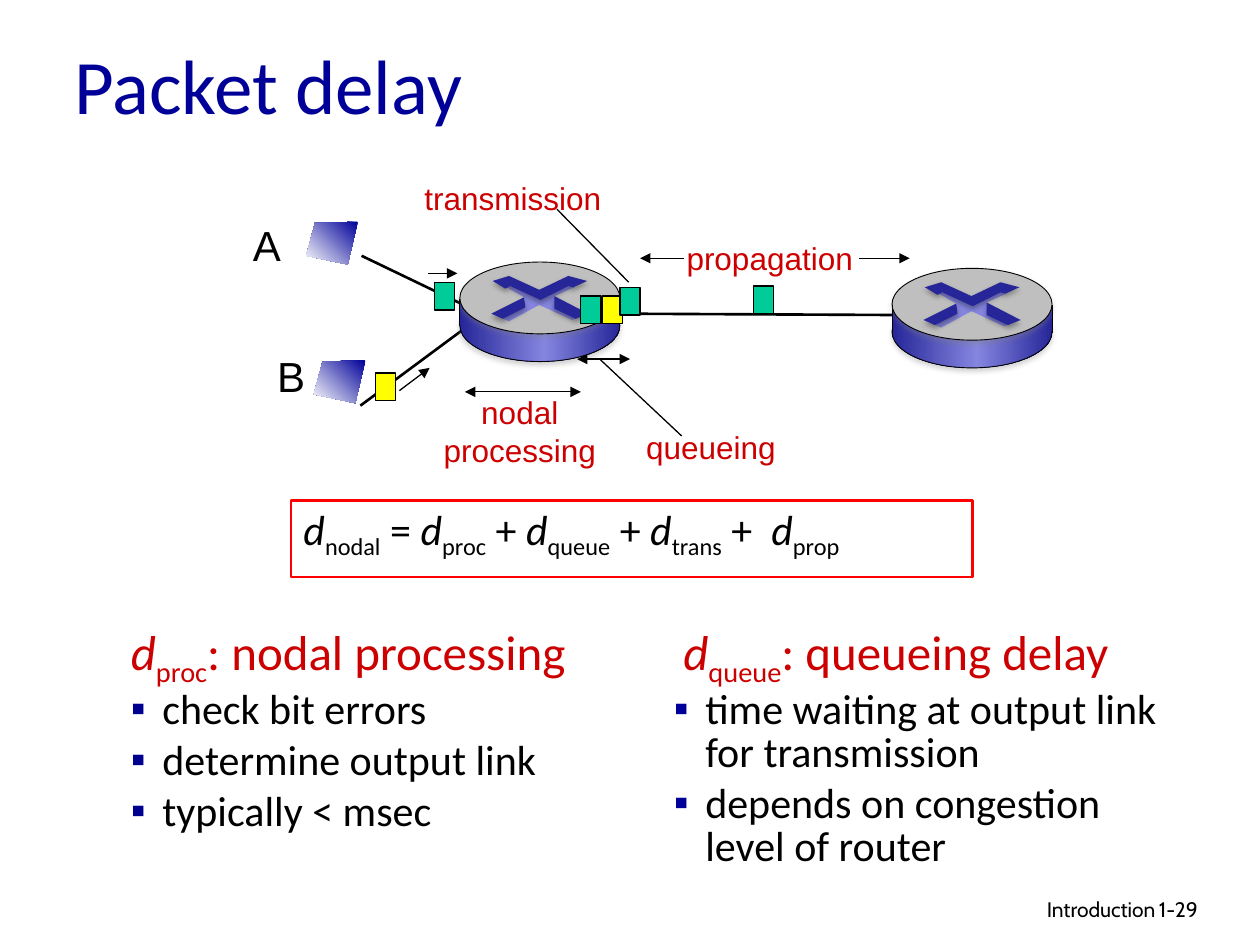
from dataclasses import dataclass
from typing import Optional

import pptx
import pptx.dml.color
import pptx.enum.shapes
import pptx.enum.text
import pptx.oxml
import pptx.oxml.ns
import pptx.slide
import pptx.util
from lxml import etree

Inches, Pt = pptx.util.Inches, pptx.util.Pt
SHAPE = pptx.enum.shapes.MSO_SHAPE
ALIGN = pptx.enum.text.PP_ALIGN
qn = pptx.oxml.ns.qn

BLACK, RED, NAVY = "000000", "CC0000", "000099"
GREEN, YELLOW = "00CC99", "FFFF00"
DARK, LIGHT = "262699", "8585E0"
BODY_STOPS = ((0, DARK), (53, LIGHT), (100, DARK))
SCREEN_STOPS = ((0, NAVY), (100, "FFFFFF"))

CROSS = [(63, 34), (39, 47), (32, 44), (52, 36), (51, 28), (37, 20), (42, 19),
         (63, 29), (85, 18), (91, 20), (75, 27), (78, 38), (94, 44), (89, 46)]
ARROWS = [
    [(26, 15), (39, 11), (63, 22), (86, 11), (101, 15),
     (90, 20), (86, 19), (64, 30), (40, 19), (36, 21)],
    [(75, 27), (102, 41), (92, 45), (75, 37)],
    [(51, 28), (52, 36), (34, 45), (25, 41)],
]
SCREEN = [(41, 0), (7, 1), (0, 27), (33, 34)]


@dataclass
class Line:
    x1: float
    y1: float
    x2: float
    y2: float
    width: float = 0.75
    head: bool = False
    tail: bool = False


@dataclass
class Packet:
    x: float
    y: float
    color: str = GREEN


@dataclass
class Label:
    text: str
    x: float
    y: float
    w: float
    h: float = 0.4
    size: float = 18
    color: str = RED


LINKS = [
    Line(2.87, 2.03, 3.68, 2.42, 1.5),
    Line(2.86, 3.22, 3.67, 2.62, 1.5),
    Line(4.97, 2.49, 7.09, 2.5, 1.5),
]
MARKERS = [
    Line(6.82, 2.05, 7.22, 2.05, tail=True),
    Line(5.43, 2.05, 5.08, 2.05, tail=True),
    Line(4.61, 3.11, 3.69, 3.11, head=True, tail=True),
    Line(5, 2.85, 4.58, 2.85, head=True, tail=True),
    Line(3.4, 2.17, 3.63, 2.17, tail=True),
    Line(3.17, 3.1, 3.41, 2.92, tail=True),
    Line(5.41, 3.46, 4.76, 2.85),
    Line(4.42, 1.66, 4.99, 2.24),
]
PACKETS = [Packet(5.98, 2.27), Packet(4.61, 2.35), Packet(4.78, 2.35, YELLOW),
           Packet(4.92, 2.28), Packet(3.45, 2.24), Packet(2.98, 2.96, YELLOW)]
LABELS = [
    Label("transmission", 3.27, 1.37, 1.6),
    Label("propagation", 5.35, 1.85, 1.52),
    Label("nodal\nprocessing", 3.42, 3.07, 1.41, 0.7),
    Label("queueing", 5.03, 3.35, 1.23),
    Label("A", 1.91, 1.69, 0.44, 0.5, 24, BLACK),
    Label("B", 2.1, 2.73, 0.42, 0.5, 24, BLACK),
]


def rgb(color: str) -> pptx.dml.color.RGBColor:
    return pptx.dml.color.RGBColor.from_string(color)


def add_run(p, text: str, *, size: float, color: str = BLACK, font: str = "Calibri",
            italic: bool = False, sub: bool = False) -> None:
    r = p.add_run()
    r.text = text
    r.font.size, r.font.name, r.font.italic = Pt(size), font, italic
    r.font.color.rgb = rgb(color)
    if sub:
        r._r.get_or_add_rPr().set("baseline", "-25000")


def add_term(p, name: str, size: float, color: str = BLACK) -> None:
    add_run(p, "d", size=size, color=color, italic=True)
    add_run(p, name, size=size, color=color, sub=True)


def add_box(s: pptx.slide.Slide, x: float, y: float, w: float, h: float, wrap: bool = True):
    sp = s.shapes.add_textbox(Inches(x), Inches(y), Inches(w), Inches(h))
    sp.text_frame.word_wrap = wrap
    return sp


def indent(p, size: float, bullet: Optional[str] = None) -> None:
    pPr = p._p.get_or_add_pPr()
    pPr.set("marL", str(Inches(size)))
    pPr.set("indent", str(-Inches(size)))
    p.line_spacing = 0.85
    if bullet:
        p.space_before = Pt(4.8)
        clr = etree.SubElement(pPr, qn("a:buClr"))
        etree.SubElement(clr, qn("a:srgbClr"), val=bullet)
        etree.SubElement(pPr, qn("a:buFont"), typeface="Arial")
        etree.SubElement(pPr, qn("a:buChar"), char="▪")


def add_shadow(sp, color: str) -> None:
    effects = sp._element.spPr.find(qn("a:effectLst"))
    shadow = etree.SubElement(effects, qn("a:outerShdw"), blurRad=str(Pt(3.1)),
                              dist=str(Pt(1.8)), dir="5400000", rotWithShape="0")
    clr = etree.SubElement(shadow, qn("a:srgbClr"), val=color)
    etree.SubElement(clr, qn("a:alpha"), val="35000")


def style(sp, fill: Optional[str] = None, stops: tuple = (), angle: float = 0,
          line: Optional[str] = None, width: float = 0.75, shadow: Optional[str] = None) -> None:
    if stops:
        sp.fill.gradient()
        sp.fill.gradient_angle = angle
        gs_list = sp._element.spPr.find(qn("a:gradFill")).find(qn("a:gsLst"))
        for gs in list(gs_list):
            gs_list.remove(gs)
        for pos, color in stops:
            gs = etree.SubElement(gs_list, qn("a:gs"), pos=str(pos * 1000))
            etree.SubElement(gs, qn("a:srgbClr"), val=color)
    else:
        sp.fill.solid()
        sp.fill.fore_color.rgb = rgb(fill)
    if line:
        sp.line.color.rgb = rgb(line)
        sp.line.width = Pt(width)
    else:
        sp.line.fill.background()
    sp.shadow.inherit = False
    if shadow:
        add_shadow(sp, shadow)


def add_preset(s: pptx.slide.Slide, kind, x: float, y: float, w: float, h: float, **look) -> None:
    style(s.shapes.add_shape(kind, Inches(x), Inches(y), Inches(w), Inches(h)), **look)


def add_polygon(s: pptx.slide.Slide, points: list, x: float, y: float, **look) -> None:
    builder = s.shapes.build_freeform(*points[0], scale=Inches(0.01))
    builder.add_line_segments(points[1:], close=True)
    style(builder.convert_to_shape(Inches(x), Inches(y)), **look)


def add_line(s: pptx.slide.Slide, line: Line) -> None:
    c = s.shapes.add_connector(pptx.enum.shapes.MSO_CONNECTOR.STRAIGHT, Inches(line.x1),
                               Inches(line.y1), Inches(line.x2), Inches(line.y2))
    c.line.color.rgb = rgb(BLACK)
    c.line.width = Pt(line.width)
    for tag, on in (("a:headEnd", line.head), ("a:tailEnd", line.tail)):
        if on:
            etree.SubElement(c.line._get_or_add_ln(), qn(tag), type="triangle")
    etree.SubElement(c._element.spPr, qn("a:effectLst"))


def add_router(s: pptx.slide.Slide, x: float, y: float) -> None:
    rim = dict(line=BLACK, width=0.5, shadow="808080")
    add_preset(s, SHAPE.OVAL, x, y + 0.22, 1.27, 0.57, stops=BODY_STOPS, **rim)
    add_preset(s, SHAPE.RECTANGLE, x, y + 0.29, 1.27, 0.21, stops=BODY_STOPS)
    add_preset(s, SHAPE.OVAL, x, y, 1.27, 0.57, fill="BFBFBF", **rim)
    add_polygon(s, CROSS, x, y, fill=LIGHT)
    for arrow in ARROWS:
        add_polygon(s, arrow, x, y, fill=DARK, shadow=BLACK)
    for side in (x, x + 1.27):
        add_line(s, Line(side, y + 0.51, side, y + 0.29, 0.5))


def add_label(s: pptx.slide.Slide, label: Label) -> None:
    tf = add_box(s, label.x, label.y, label.w, label.h, wrap=False).text_frame
    lines = label.text.split("\n")
    for i, text in enumerate(lines):
        p = tf.add_paragraph() if i else tf.paragraphs[0]
        p.alignment = ALIGN.CENTER if len(lines) > 1 else ALIGN.LEFT
        add_run(p, text, size=label.size, color=label.color, font="Arial")


def add_column(s: pptx.slide.Slide, x: float, h: float, lead: str, name: str, title: str,
               items: list, bullet: str) -> None:
    tf = add_box(s, x, 4.91, 4.17, h).text_frame
    p = tf.paragraphs[0]
    indent(p, 0.38)
    if lead:
        add_run(p, lead, size=24)
    add_term(p, name, 28, RED)
    add_run(p, f": {title}", size=28, color=RED)
    for item in items:
        p = tf.add_paragraph()
        indent(p, 0.25, bullet)
        add_run(p, item, size=24)


def add_formula(s: pptx.slide.Slide) -> None:
    sp = add_box(s, 2.31, 3.97, 5.41, 0.61)
    sp.line.color.rgb = rgb("FF0000")
    sp.line.width = Pt(1.5)
    p = sp.text_frame.paragraphs[0]
    indent(p, 0.31)
    for name, sign in (("nodal", " = "), ("proc", " + "), ("queue", " + "),
                       ("trans", " +  "), ("prop", "")):
        add_term(p, name, 24)
        if sign:
            add_run(p, sign, size=24)


def main() -> None:
    prs = pptx.Presentation()
    prs.slide_width, prs.slide_height = Inches(10), Inches(7.5)
    s = prs.slides.add_slide(prs.slide_layouts[6])

    tf = add_box(s, 0.49, 0.22, 8.5, 0.89).text_frame
    tf.vertical_anchor = pptx.enum.text.MSO_ANCHOR.MIDDLE
    add_run(tf.paragraphs[0], "Packet delay", size=44, color=NAVY)

    for link in LINKS:
        add_line(s, link)
    for x, y in ((3.65, 2.08), (7.08, 2.13)):
        add_router(s, x, y)
    for x, y in ((2.43, 1.76), (2.49, 2.86)):
        add_polygon(s, SCREEN, x, y, stops=SCREEN_STOPS, angle=225)
    for packet in PACKETS:
        add_preset(s, SHAPE.RECTANGLE, packet.x, packet.y, 0.16, 0.22,
                   fill=packet.color, line=BLACK)
    for marker in MARKERS:
        add_line(s, marker)
    for label in LABELS:
        add_label(s, label)

    add_formula(s)
    add_column(s, 0.94, 1.79, "", "proc", "nodal processing",
               ["check bit errors", "determine output link", "typically < msec"], "000090")
    add_column(s, 5.25, 2.39, " ", "queue", "queueing delay",
               ["time waiting at output link for transmission",
                "depends on congestion level of router"], NAVY)

    for text, x, w, align in (("Introduction", 6.1, 3.17, ALIGN.RIGHT),
                              ("1-29", 9.1, 0.74, ALIGN.LEFT)):
        p = add_box(s, x, 7.07, w, 0.3).text_frame.paragraphs[0]
        p.alignment = align
        add_run(p, text, size=12, font="Cabin")

    prs.save("out.pptx")


if __name__ == "__main__":
    main()
